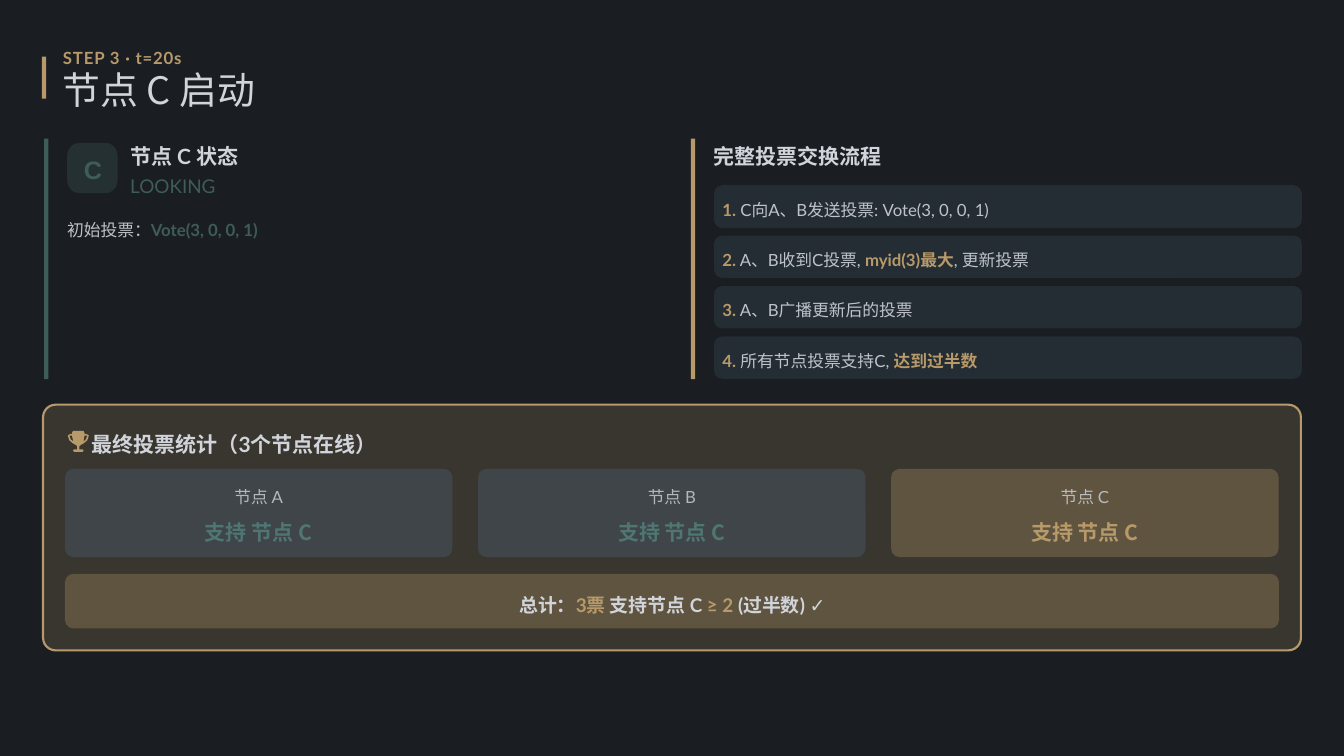
from pptx import Presentation
from pptx.dml.color import RGBColor
from pptx.enum.shapes import MSO_SHAPE
from pptx.enum.text import MSO_ANCHOR, PP_ALIGN
from pptx.oxml.ns import qn
from pptx.util import Inches, Pt
from lxml.etree import SubElement

COLUMNS, ROWS = 1280, 720
WIDTH, HEIGHT = Inches(17.78), Inches(10)

BACKGROUND = RGBColor(0x1A, 0x1D, 0x21)
GOLD = RGBColor(0xB8, 0x9A, 0x6A)
GREEN = RGBColor(0x3E, 0x5C, 0x5A)
READABLE_GREEN = RGBColor(0x4F, 0x76, 0x73)
BLUE = RGBColor(0x4F, 0x6A, 0x82)
LIGHT = RGBColor(0xD1, 0xD5, 0xDB)

LATIN = "Lato"
CHINESE = "Noto Sans CJK SC"

STEPS = [
    [(" C向A、B发送投票: Vote(3, 0, 0, 1)", False)],
    [(" A、B收到C投票, ", False), ("myid(3)最大", True), (", 更新投票", False)],
    [(" A、B广播更新后的投票", False)],
    [(" 所有节点投票支持C, ", False), ("达到过半数", True)],
]
VOTES = [("A", BLUE, READABLE_GREEN), ("B", BLUE, READABLE_GREEN), ("C", GOLD, GOLD)]


def grid_box(left, top, width, height):
    return (
        round(WIDTH * left / COLUMNS),
        round(HEIGHT * top / ROWS),
        round(WIDTH * width / COLUMNS),
        round(HEIGHT * height / ROWS),
    )


def set_alpha(properties, percent):
    if percent < 100:
        color = properties.find(qn("a:solidFill")).find(qn("a:srgbClr"))
        SubElement(color, qn("a:alpha"), val=str(percent * 1000))


def paint(shape, color, alpha=100, border=None):
    shape.shadow.inherit = False
    shape.fill.solid()
    shape.fill.fore_color.rgb = color
    set_alpha(shape.element.spPr, alpha)
    if border is None:
        shape.line.fill.background()
    else:
        shape.line.color.rgb = border
        shape.line.width = Pt(2)


def add_bar(slide, left, top, height, color):
    bar = slide.shapes.add_shape(MSO_SHAPE.RECTANGLE, *grid_box(left, top, 4, height))
    paint(bar, color)


def add_panel(slide, box, color, alpha, radius=8, border=None):
    panel = slide.shapes.add_shape(MSO_SHAPE.ROUNDED_RECTANGLE, *grid_box(*box))
    panel.adjustments[0] = radius / min(box[2:])
    paint(panel, color, alpha, border)


def add_run(paragraph, text, size, font, color, bold, alpha, spacing):
    run = paragraph.add_run()
    run.text = text
    run.font.size = Pt(size)
    run.font.name = font
    run.font.bold = bold
    run.font.color.rgb = color
    properties = run.font._element
    set_alpha(properties, alpha)
    SubElement(properties, qn("a:ea"), typeface=CHINESE)
    if spacing:
        properties.set("spc", str(round(spacing * 100)))


def add_text(slide, box, content, size=16, font=LATIN, color=LIGHT, bold=False,
             alpha=100, spacing=0, line_spacing=1.3, align=PP_ALIGN.LEFT):
    frame = slide.shapes.add_textbox(*grid_box(*box)).text_frame
    frame.word_wrap = True
    frame.vertical_anchor = MSO_ANCHOR.MIDDLE
    frame.margin_left = frame.margin_top = frame.margin_right = frame.margin_bottom = 0
    paragraph = frame.paragraphs[0]
    paragraph.alignment = align
    paragraph.line_spacing = line_spacing
    pieces = [(content, {})] if isinstance(content, str) else content
    base = dict(size=size, font=font, color=color, bold=bold, alpha=alpha, spacing=spacing)
    for text, changes in pieces:
        add_run(paragraph, text, **{**base, **changes})


def add_heading(slide, left, top, width, text):
    add_text(slide, (left, top, width, 28), text, size=20, bold=True, line_spacing=1.2)


def mirror(points):
    return [(200 - x, y) for x, y in points]


def add_trophy(slide, left, top):
    half = [(150, 0), (160, 20), (160, 30), (180, 30), (200, 45), (185, 90), (150, 120),
            (130, 130), (110, 145), (110, 175), (140, 175), (150, 187), (140, 200)]
    handle = [(160, 45), (185, 45), (172, 80), (148, 102)]
    cup = half + mirror(half)[::-1]
    builder = slide.shapes.build_freeform(*cup[0], scale=WIDTH / COLUMNS / 10)
    builder.add_line_segments(cup[1:], close=True)
    for hole in (handle, mirror(handle)):
        builder.move_to(*hole[0])
        builder.add_line_segments(hole[1:], close=True)
    paint(builder.convert_to_shape(*grid_box(left, top, 0, 0)[:2]), GOLD)


def add_title(slide):
    add_bar(slide, 40, 54, 40, GOLD)
    add_text(slide, (60, 40, 195, 24), "STEP 3 · t=20s", color=GOLD, bold=True, spacing=0.8)
    add_text(slide, (59.8, 68, 205, 40), "节点 C 启动", size=36, font=CHINESE, line_spacing=0.9)


def add_node_state(slide):
    add_bar(slide, 42, 132, 229, GREEN)
    add_panel(slide, (64, 136, 48, 48), GREEN, 30, radius=12)
    add_text(slide, (79.8, 144, 29, 32), "C", size=24, font="Arial", color=GREEN,
             bold=True, line_spacing=1.1)
    add_heading(slide, 124, 132, 116, "节点 C 状态")
    add_text(slide, (124, 160, 115, 28), "LOOKING", size=18, color=GREEN)
    vote = dict(color=GREEN, bold=True, alpha=100)
    add_text(slide, (64, 204, 568, 24),
             [("初始投票：", {}), ("Vote(3, 0, 0, 1)", vote)], alpha=90)


def add_steps(slide):
    add_bar(slide, 658, 132, 229, GOLD)
    add_heading(slide, 679.7, 132, 570, "完整投票交换流程")
    strong = dict(color=GOLD, bold=True, alpha=100)
    for index, pieces in enumerate(STEPS):
        top = 176.4 + 48 * index
        height = 40.4 if index else 41
        add_panel(slide, (680, top, 560, height), BLUE, 20)
        content = [(f"{index + 1}.", strong)]
        content += [(text, strong if marked else {}) for text, marked in pieces]
        add_text(slide, (688, top + 8, 552, height - 16), content, alpha=90)


def add_result(slide):
    add_panel(slide, (41, 385.4, 1198, 234), GOLD, 20, radius=12, border=GOLD)
    add_trophy(slide, 64.6, 410.4)
    add_heading(slide, 87, 407, 1141, "最终投票统计（3个节点在线）")
    for index, (node, fill, accent) in enumerate(VOTES):
        left = 61.9 + 393.4 * index
        add_panel(slide, (left, 446.5, 369, 84), fill, 30)
        add_text(slide, (left + 8, 458.5, 353, 24), f"节点 {node}", alpha=80,
                 align=PP_ALIGN.CENTER)
        add_text(slide, (left + 7, 490.5, 355, 28), "支持 节点 C", size=20, font=CHINESE,
                 color=accent, bold=True, line_spacing=1.2, align=PP_ALIGN.CENTER)
    add_panel(slide, (61.9, 546.5, 1156.2, 52), GOLD, 30)
    gold = dict(color=GOLD)
    total = [("总计：", {}), ("3票", gold), (" 支持节点 C ", {}),
             ("≥ 2", gold), (" (过半数) ✓", {})]
    add_text(slide, (69.8, 558.7, 1141, 28), total, size=18, bold=True, align=PP_ALIGN.CENTER)


def main():
    presentation = Presentation()
    presentation.slide_width = WIDTH
    presentation.slide_height = HEIGHT
    slide = presentation.slides.add_slide(presentation.slide_layouts[6])
    slide.background.fill.solid()
    slide.background.fill.fore_color.rgb = BACKGROUND
    add_title(slide)
    add_node_state(slide)
    add_steps(slide)
    add_result(slide)
    presentation.save("out.pptx")


if __name__ == "__main__":
    main()
